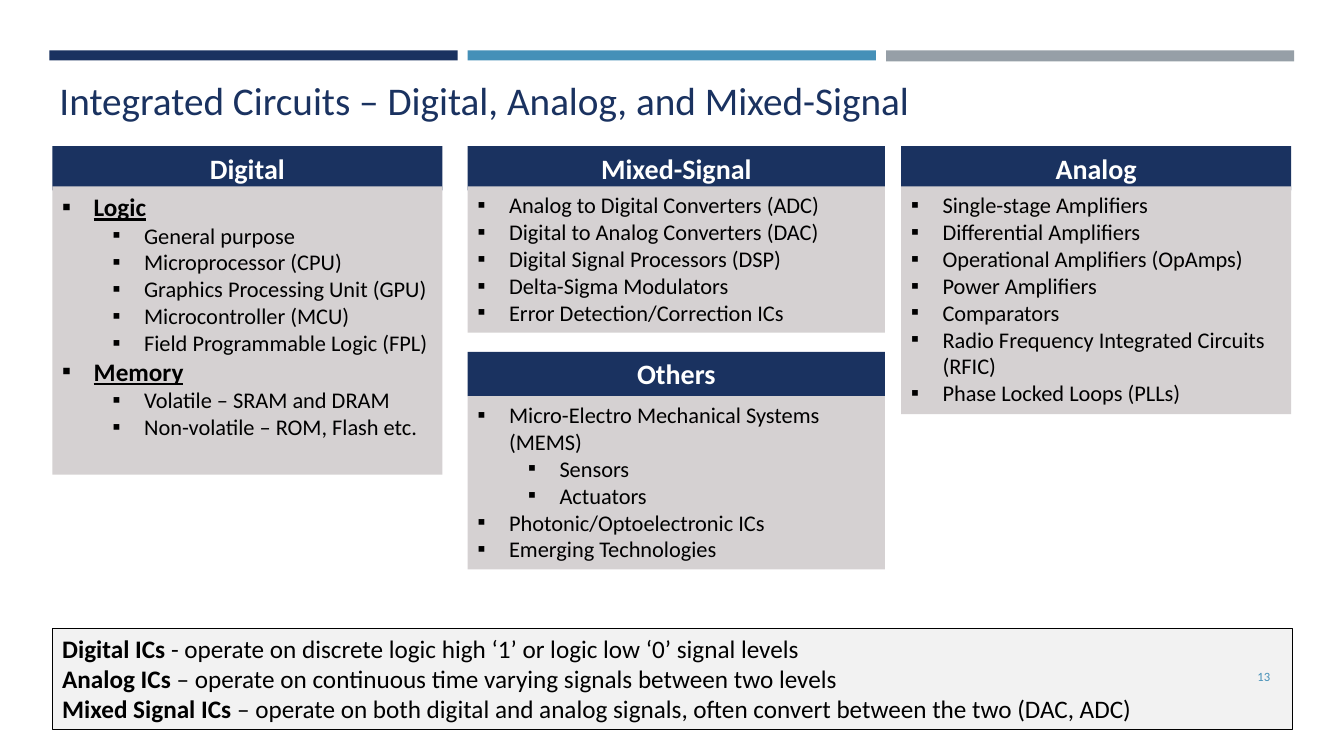
"""Build a slide that groups integrated circuits into digital, mixed-signal, analog and others."""
import lxml.etree
import pptx
import pptx.dml.color
import pptx.enum.shapes
import pptx.enum.text
import pptx.oxml.ns
import pptx.util

Pt = pptx.util.Pt
ALIGN = pptx.enum.text.PP_ALIGN
ANCHOR = pptx.enum.text.MSO_ANCHOR
COLORS = {"navy": "1A3260", "blue": "4590B8", "gray": "969FA7", "panel": "D5D1D2",
          "note": "F2F2F2", "black": "000000", "white": "FFFFFF"}
FONT = "Calibri"

TITLE = "Integrated Circuits – Digital, Analog, and Mixed-Signal"
PAGE_NUMBER = "13"
BARS = [("navy", 7.2), ("blue", 7.2), ("gray", 7.9)]

HEADING, ITEM, SUBITEM = "heading", "item", "subitem"
STYLES = {HEADING: (0, dict(size=18, bold=True, underline=True)),
          ITEM: (0, dict(size=16)),
          SUBITEM: (1, dict(size=16))}
COLUMNS = {"left": (37.4, 278.6), "middle": (334.1, 298.1), "right": (643.7, 278.6)}
PANELS = [
    ("Digital", "left", 104.4, 133.2, 205.9, [
        (HEADING, "Logic"),
        (SUBITEM, "General purpose"),
        (SUBITEM, "Microprocessor (CPU)"),
        (SUBITEM, "Graphics Processing Unit (GPU)"),
        (SUBITEM, "Microcontroller (MCU)"),
        (SUBITEM, "Field Programmable Logic (FPL)"),
        (HEADING, "Memory"),
        (SUBITEM, "Volatile – SRAM and DRAM"),
        (SUBITEM, "Non-volatile – ROM, Flash etc.")]),
    ("Mixed-Signal", "middle", 104.4, 133.2, 104.4, [
        (ITEM, "Analog to Digital Converters (ADC)"),
        (ITEM, "Digital to Analog Converters (DAC)"),
        (ITEM, "Digital Signal Processors (DSP)"),
        (ITEM, "Delta-Sigma Modulators"),
        (ITEM, "Error Detection/Correction ICs")]),
    ("Analog", "right", 104.4, 133.2, 162.7, [
        (ITEM, "Single-stage Amplifiers"),
        (ITEM, "Differential Amplifiers"),
        (ITEM, "Operational Amplifiers (OpAmps)"),
        (ITEM, "Power Amplifiers"),
        (ITEM, "Comparators"),
        (ITEM, "Radio Frequency Integrated Circuits (RFIC)"),
        (ITEM, "Phase Locked Loops (PLLs)")]),
    ("Others", "middle", 251.3, 283, 123.8, [
        (ITEM, "Micro-Electro Mechanical Systems (MEMS)"),
        (SUBITEM, "Sensors"),
        (SUBITEM, "Actuators"),
        (ITEM, "Photonic/Optoelectronic ICs"),
        (ITEM, "Emerging Technologies")]),
]
NOTES = [
    ("Digital ICs ", "- operate on discrete logic high ‘1’ or logic low ‘0’ signal levels"),
    ("Analog ICs ", "– operate on continuous time varying signals between two levels"),
    ("Mixed Signal ICs ", "– operate on both digital and analog signals, "
                          "often convert between the two (DAC, ADC)"),
]


def rgb(name):
    """Return the named colour."""
    return pptx.dml.color.RGBColor.from_string(COLORS[name])


def add_text(p, text, size=16, color="black", bold=False, underline=False, align=ALIGN.LEFT):
    """Add a formatted run to a paragraph."""
    p.alignment = align
    r = p.add_run()
    r.text = text
    r.font.name, r.font.size = FONT, Pt(size)
    r.font.bold, r.font.underline = bold, underline
    r.font.color.rgb = rgb(color)


def add_box(slide, left, top, width, height, fill, line=None, anchor=ANCHOR.TOP):
    """Add a filled rectangle and return its text frame."""
    sp = slide.shapes.add_shape(pptx.enum.shapes.MSO_SHAPE.RECTANGLE,
                                Pt(left), Pt(top), Pt(width), Pt(height))
    sp.shadow.inherit = False
    sp.fill.solid()
    sp.fill.fore_color.rgb = rgb(fill)
    if line:
        sp.line.color.rgb = rgb(line)
        sp.line.width = Pt(0.75)
    else:
        sp.line.fill.background()
    tf = sp.text_frame
    tf.word_wrap = True
    tf.vertical_anchor = anchor
    return tf


def paragraphs(tf, items):
    """Yield one paragraph of the frame with each item."""
    for i, item in enumerate(items):
        yield (tf.add_paragraph() if i else tf.paragraphs[0]), item


def set_bullet(p, level):
    """Give a paragraph a square bullet with a hanging indent."""
    p.level = level
    pPr = p._p.get_or_add_pPr()
    pPr.set("marL", str(Pt(22.5 + 36 * level)))
    pPr.set("indent", str(Pt(-22.5)))
    qn = pptx.oxml.ns.qn
    lxml.etree.SubElement(pPr, qn("a:buFont")).set("typeface", FONT)
    lxml.etree.SubElement(pPr, qn("a:buChar")).set("char", "▪")


def add_panel(slide, heading, column, top, list_top, list_height, items):
    """Add a heading bar with its bulleted list."""
    left, width = COLUMNS[column]
    tf = add_box(slide, left, top, width, 31.7, "navy")
    add_text(tf.paragraphs[0], heading, size=20, color="white", bold=True, align=ALIGN.CENTER)
    tf = add_box(slide, left, list_top, width, list_height, "panel")
    for p, (kind, text) in paragraphs(tf, items):
        level, style = STYLES[kind]
        set_bullet(p, level)
        add_text(p, text, **style)


def main():
    """Build and save the slide."""
    prs = pptx.Presentation()
    prs.slide_width, prs.slide_height = Pt(960), Pt(540)
    slide = prs.slides.add_slide(prs.slide_layouts[5])

    for i, (color, height) in enumerate(BARS):
        add_box(slide, 35.3 + 298.8 * i, 36, 291.6, height, color)

    title = slide.shapes.title
    title.left, title.top, title.width, title.height = Pt(35.3), Pt(55.4), Pt(889.2), Pt(36)
    tf = title.text_frame
    tf.word_wrap = True
    tf.auto_size = pptx.enum.text.MSO_AUTO_SIZE.NONE
    tf.vertical_anchor = ANCHOR.BOTTOM
    add_text(tf.paragraphs[0], TITLE, size=28, color="navy")

    tf = add_box(slide, 37.4, 448.6, 885.6, 72.7, "note", line="black")
    for p, (term, meaning) in paragraphs(tf, NOTES):
        add_text(p, term, size=18, bold=True)
        add_text(p, meaning, size=18)

    for panel in PANELS:
        add_panel(slide, *panel)

    tf = slide.shapes.add_textbox(Pt(831.6), Pt(468.7), Pt(82.8), Pt(28.8)).text_frame
    tf.word_wrap = True
    tf.vertical_anchor = ANCHOR.MIDDLE
    add_text(tf.paragraphs[0], PAGE_NUMBER, size=9, color="blue", align=ALIGN.RIGHT)
    prs.save("out.pptx")


if __name__ == "__main__":
    main()
